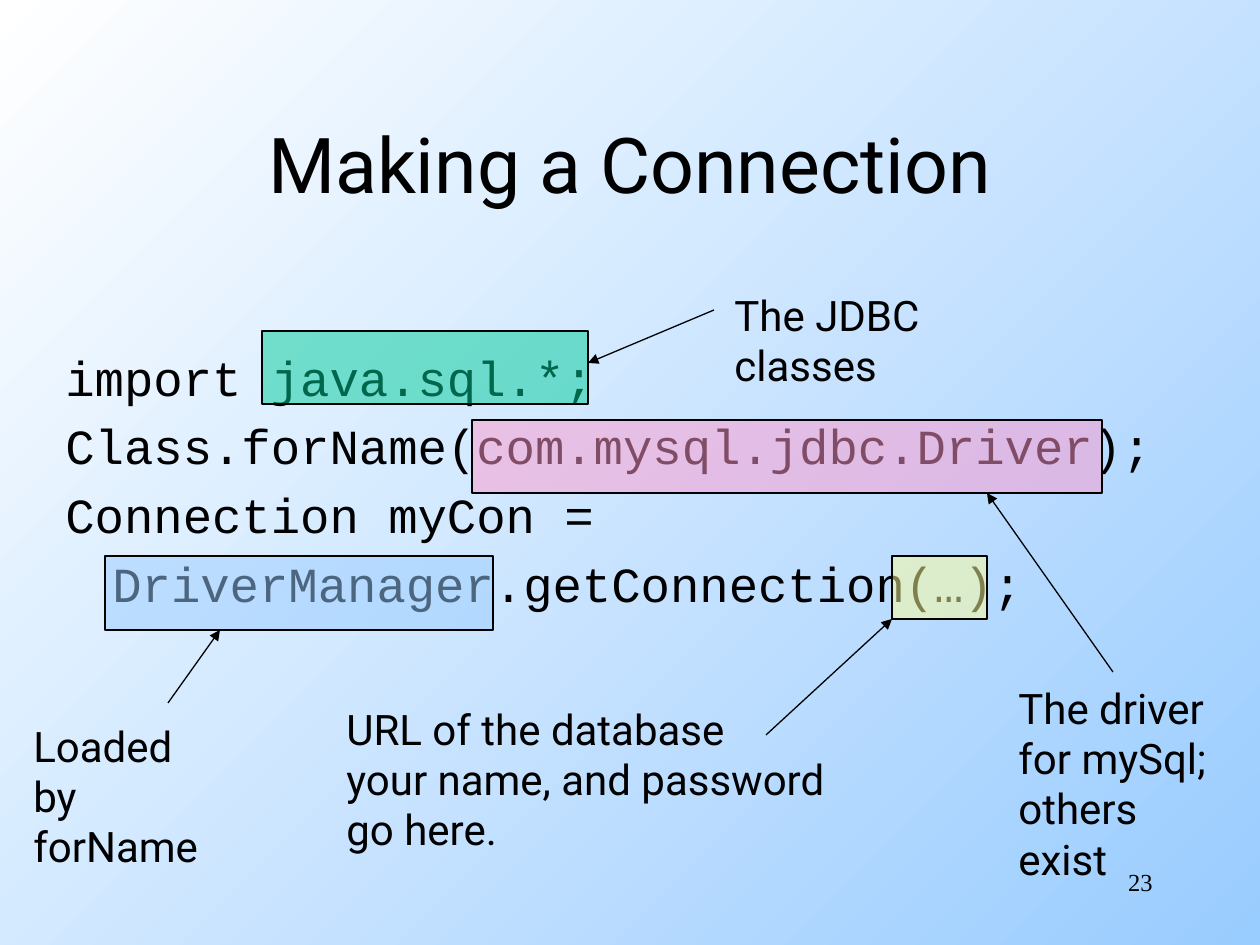
from lxml.etree import SubElement
from pptx import Presentation
from pptx.dml.color import RGBColor
from pptx.enum.shapes import MSO_CONNECTOR, MSO_SHAPE
from pptx.enum.text import MSO_ANCHOR as Anchor, PP_ALIGN as Align
from pptx.oxml.ns import qn
from pptx.util import Emu, Pt

SCALE = 914400 / 126
COLORS = {
    "text": "000000",
    "sky_start": "FFFFFF",
    "sky_end": "99CCFF",
    "classes": "00CC99",
    "driver": "FF99CC",
    "arguments": "FFFF99",
    "manager": "99CCFF",
}
TITLE = {"name": "Roboto", "size": Pt(44)}
NOTE = {"name": "Roboto", "size": Pt(24)}
CODE = {"name": "Courier New", "size": Pt(28)}
NUMBER = {"name": "Times New Roman", "size": Pt(14)}

CODE_LINES = [
    ("import java.sql.*;", 0),
    ("Class.forName(com.mysql.jdbc.Driver);", 0),
    ("Connection myCon =", 0),
    ("DriverManager.getConnection(…);", 47),
]
# colour, highlighted area, note area, note lines, arrow start, arrow end
CALLOUTS = [
    ("classes", (262, 331, 326, 73), (722, 283, 348, 113),
     ["The JDBC classes"], (714, 310), (588, 363)),
    ("driver", (472, 420, 630, 73), (1006, 676, 239, 214),
     ["The driver", "for mySql;", "others exist"], (1113, 672), (987, 493)),
    ("arguments", (892, 556, 95, 63), (334, 697, 520, 164),
     ["URL of the database", "your name, and password", "go here."],
     (766, 735), (892, 619)),
    ("manager", (105, 556, 388, 74), (21, 714, 205, 164),
     ["Loaded by", "forName"], (168, 703), (220, 630)),
]


def px(*lengths):
    return [Emu(round(length * SCALE)) for length in lengths]


def rgb(key):
    return RGBColor.from_string(COLORS[key])


def paint_background(slide):
    fill = slide.background.fill
    fill.gradient()
    fill.gradient_angle = 315
    for stop, position, key in zip(fill.gradient_stops, (0, 1), ("sky_start", "sky_end")):
        stop.position = position
        stop.color.rgb = rgb(key)


def add_text(slide, area, lines, font, align=Align.LEFT, anchor=Anchor.TOP):
    frame = slide.shapes.add_textbox(*px(*area)).text_frame
    frame.word_wrap = True
    frame.vertical_anchor = anchor
    frame.text = "\n".join(lines)
    for paragraph in frame.paragraphs:
        paragraph.alignment = align
        paragraph.font.color.rgb = rgb("text")
        for attribute, value in font.items():
            setattr(paragraph.font, attribute, value)
    return frame


def add_code(slide, area):
    frame = add_text(slide, area, [line for line, _ in CODE_LINES], CODE)
    for row, (paragraph, (_, indent)) in enumerate(zip(frame.paragraphs, CODE_LINES)):
        if row:
            paragraph.space_before = Pt(5.6)
        if indent:
            paragraph._p.get_or_add_pPr().set("marL", str(px(indent)[0]))


def add_highlight(slide, area, color):
    """Lay a half-transparent rectangle over a piece of code."""
    box = slide.shapes.add_shape(MSO_SHAPE.RECTANGLE, *px(*area))
    box.shadow.inherit = False
    box.fill.solid()
    box.fill.fore_color.rgb = rgb(color)
    tint = box._element.spPr.find(qn("a:solidFill"))[0]
    SubElement(tint, qn("a:alpha"), val="50000")
    box.line.color.rgb = rgb("text")
    box.line.width = Pt(0.75)


def add_arrow(slide, start, end):
    arrow = slide.shapes.add_connector(MSO_CONNECTOR.STRAIGHT, *px(*start, *end))
    arrow.line.color.rgb = rgb("text")
    arrow.line.width = Pt(0.75)
    SubElement(arrow.line._get_or_add_ln(), qn("a:tailEnd"), type="triangle")
    SubElement(arrow._element.spPr, qn("a:effectLst"))


def main():
    deck = Presentation()
    deck.slide_width, deck.slide_height = px(1260, 945)
    slide = deck.slides.add_slide(deck.slide_layouts[6])
    paint_background(slide)
    add_text(slide, (903, 861, 262, 63), ["23"], NUMBER, Align.RIGHT)
    add_text(slide, (95, 84, 1070, 158), ["Making a Connection"], TITLE,
             Align.CENTER, Anchor.MIDDLE)
    add_code(slide, (53, 341, 1155, 487))
    for color, code_area, note_area, note, start, end in CALLOUTS:
        add_highlight(slide, code_area, color)
        add_text(slide, note_area, note, NOTE)
        add_arrow(slide, start, end)
    deck.save("out.pptx")


if __name__ == "__main__":
    main()
